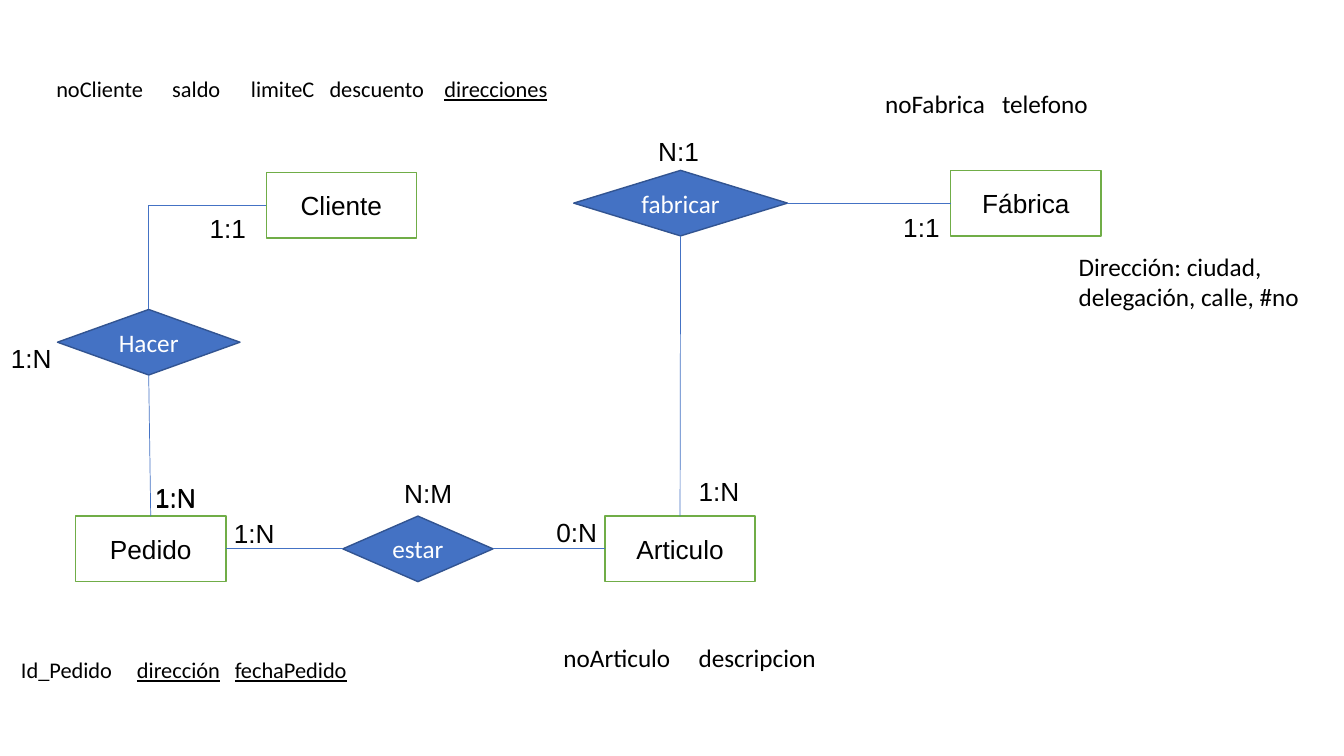
from lxml import etree
from pptx import Presentation
from pptx.dml.color import RGBColor
from pptx.enum import shapes, text
from pptx.oxml.ns import qn
from pptx.util import Inches, Pt

WHITE = RGBColor(0xFF, 0xFF, 0xFF)
BLACK = RGBColor(0, 0, 0)
BLUE = RGBColor(0x44, 0x72, 0xC4)
DARK_BLUE = RGBColor(0x32, 0x54, 0x91)
GREEN = RGBColor(0x70, 0xAD, 0x47)

ENTITY = dict(kind=shapes.MSO_SHAPE.RECTANGLE, fill=WHITE, line=GREEN,
              font=dict(name="Arial", size=Pt(18.7)), color=BLACK)
RELATION = dict(kind=shapes.MSO_SHAPE.DIAMOND, fill=BLUE, line=DARK_BLUE,
                font=dict(name="Calibri", size=Pt(18)), color=WHITE)
NODE_H = 0.65
TOP, LEFT, BOTTOM, RIGHT = range(4)  # connection sites

prs = Presentation()
prs.slide_width, prs.slide_height = Inches(13.33), Inches(7.5)
s = prs.slides.add_slide(prs.slide_layouts[6])


def style_run(r, font, color):
    for key, value in font.items():
        setattr(r.font, key, value)
    r.font.color.rgb = color


def add_text(x, y, w, h, runs, font, tabs=()):
    """Add a text box of (words, underlined) runs, with tab stops in inches."""
    sp = s.shapes.add_textbox(Inches(x), Inches(y), Inches(w), Inches(h))
    tf = sp.text_frame
    tf.word_wrap = True
    tf.auto_size = text.MSO_AUTO_SIZE.SHAPE_TO_FIT_TEXT
    p = tf.paragraphs[0]
    if tabs:
        stops = etree.SubElement(p._p.get_or_add_pPr(), qn("a:tabLst"))
        for stop in tabs:
            etree.SubElement(stops, qn("a:tab"), pos=str(Inches(stop)), algn="l")
    for words, underlined in runs:
        r = p.add_run()
        r.text = words
        style_run(r, font, BLACK)
        if underlined:
            r.font.underline = True


# Entities and relations
nodes = {}
for name, x, y, w, look in [
    ("Cliente", 2.64, 1.71, 1.49, ENTITY),
    ("Pedido", 0.75, 5.12, 1.49, ENTITY),
    ("Articulo", 6, 5.12, 1.49, ENTITY),
    ("Fábrica", 9.43, 1.69, 1.49, ENTITY),
    ("fabricar", 5.69, 1.69, 2.12, RELATION),
    ("Hacer", 0.57, 3.07, 1.81, RELATION),
    ("estar", 3.4, 5.12, 1.49, RELATION),
]:
    sp = s.shapes.add_shape(look["kind"], Inches(x), Inches(y), Inches(w), Inches(NODE_H))
    sp.shadow.inherit = False
    sp.fill.solid()
    sp.fill.fore_color.rgb = look["fill"]
    sp.line.color.rgb = look["line"]
    sp.line.width = Pt(1)
    tf = sp.text_frame
    tf.vertical_anchor = text.MSO_ANCHOR.MIDDLE
    p = tf.paragraphs[0]
    p.alignment = text.PP_ALIGN.CENTER
    r = p.add_run()
    r.text = name
    style_run(r, look["font"], look["color"])
    nodes[name] = sp

# Links between them
STRAIGHT, ELBOW = shapes.MSO_CONNECTOR.STRAIGHT, shapes.MSO_CONNECTOR.ELBOW
for start, start_site, end, end_site, kind in [
    ("fabricar", RIGHT, "Fábrica", LEFT, STRAIGHT),
    ("Cliente", LEFT, "Hacer", TOP, ELBOW),
    ("Hacer", BOTTOM, "Pedido", TOP, STRAIGHT),
    ("estar", LEFT, "Pedido", RIGHT, STRAIGHT),
    ("fabricar", BOTTOM, "Articulo", TOP, STRAIGHT),
    ("Articulo", LEFT, "estar", RIGHT, STRAIGHT),
]:
    link = s.shapes.add_connector(kind, 0, 0, 0, 0)
    link.begin_connect(nodes[start], start_site)
    link.end_connect(nodes[end], end_site)
    link.line.color.rgb = BLUE
    link.line.width = Pt(0.5)
    sp_pr = link._element.spPr
    if kind == ELBOW:  # a single corner
        sp_pr.find(qn("a:prstGeom")).set("prst", "bentConnector2")
    etree.SubElement(sp_pr, qn("a:effectLst"))

# Cardinalities
for label, x, y in [
    ("1:N", 1.44, 4.74), ("1:1", 1.98, 2.06), ("1:1", 8.86, 2.05),
    ("1:N", 2.22, 5.08), ("1:N", 6.83, 4.67), ("0:N", 5.42, 5.07),
    ("1:N", 1.44, 4.73), ("N:M", 3.91, 4.69), ("N:1", 6.43, 1.29),
    ("1:N", 0.01, 3.35),
]:
    add_text(x, y, 0.79, 0.42, [(label, False)], ENTITY["font"])

# Attributes
small, large = dict(name="Calibri", size=Pt(16)), dict(name="Calibri", size=Pt(18))
add_text(0.46, 0.7, 6.99, 0.37,
         [("noCliente\tsaldo\tlimiteC\tdescuento\t", False), ("direcciones", True)],
         small, [1.15, 1.93, 2.71, 3.85])
add_text(8.68, 0.83, 3.31, 0.4, [("noFabrica\ttelefono", False)], large, [1.16])
add_text(10.6, 2.44, 2.63, 0.71,
         [("Dirección: ciudad, delegación, calle, #no", False)], large)
add_text(0.11, 6.46, 3.82, 0.37,
         [("Id_Pedido\t", False), ("dirección\tfechaPedido", True)], small, [1.15, 2.12])
add_text(5.49, 6.32, 3.25, 0.4, [("noArticulo\tdescripcion", False)], large, [1.34])

prs.save("out.pptx")
